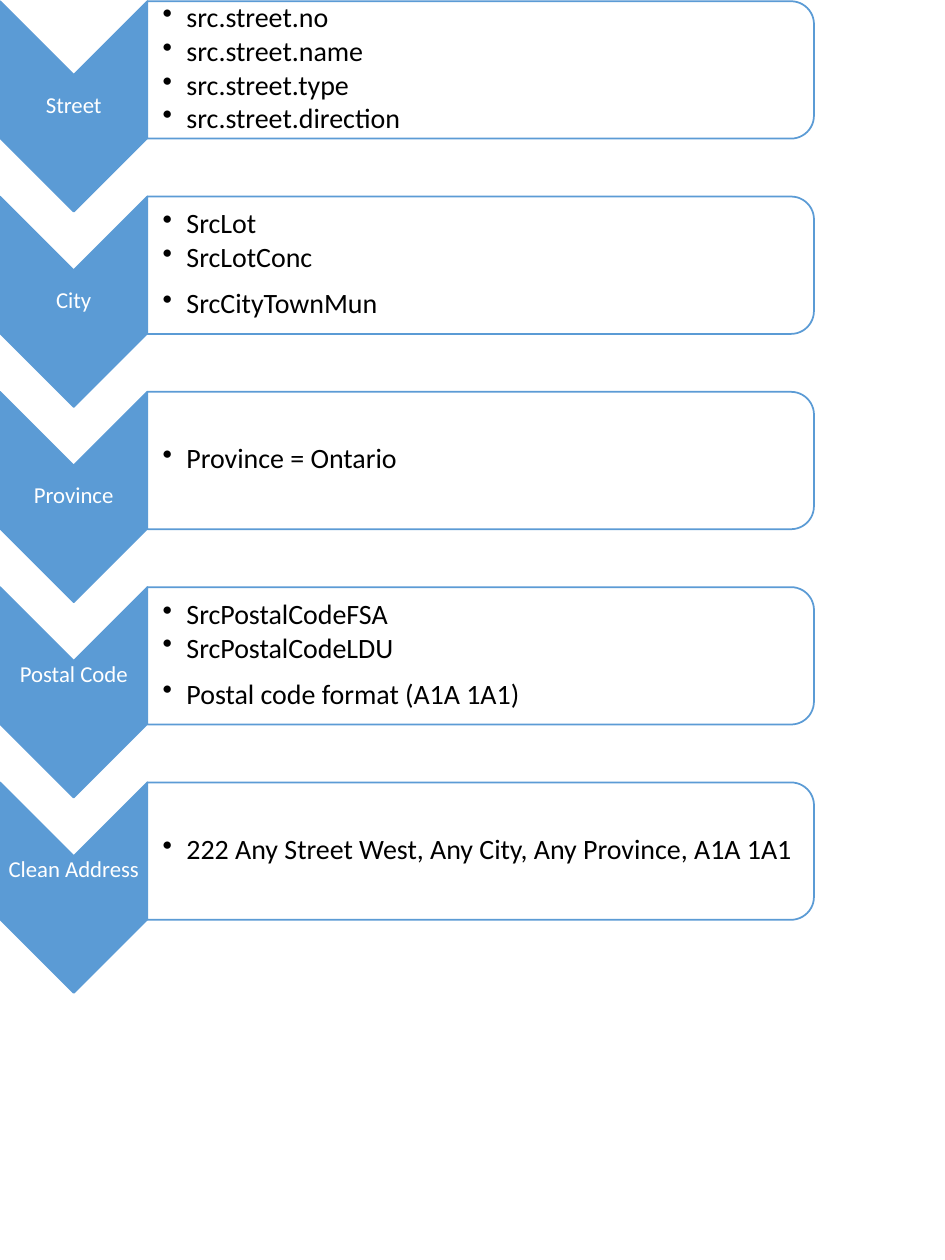
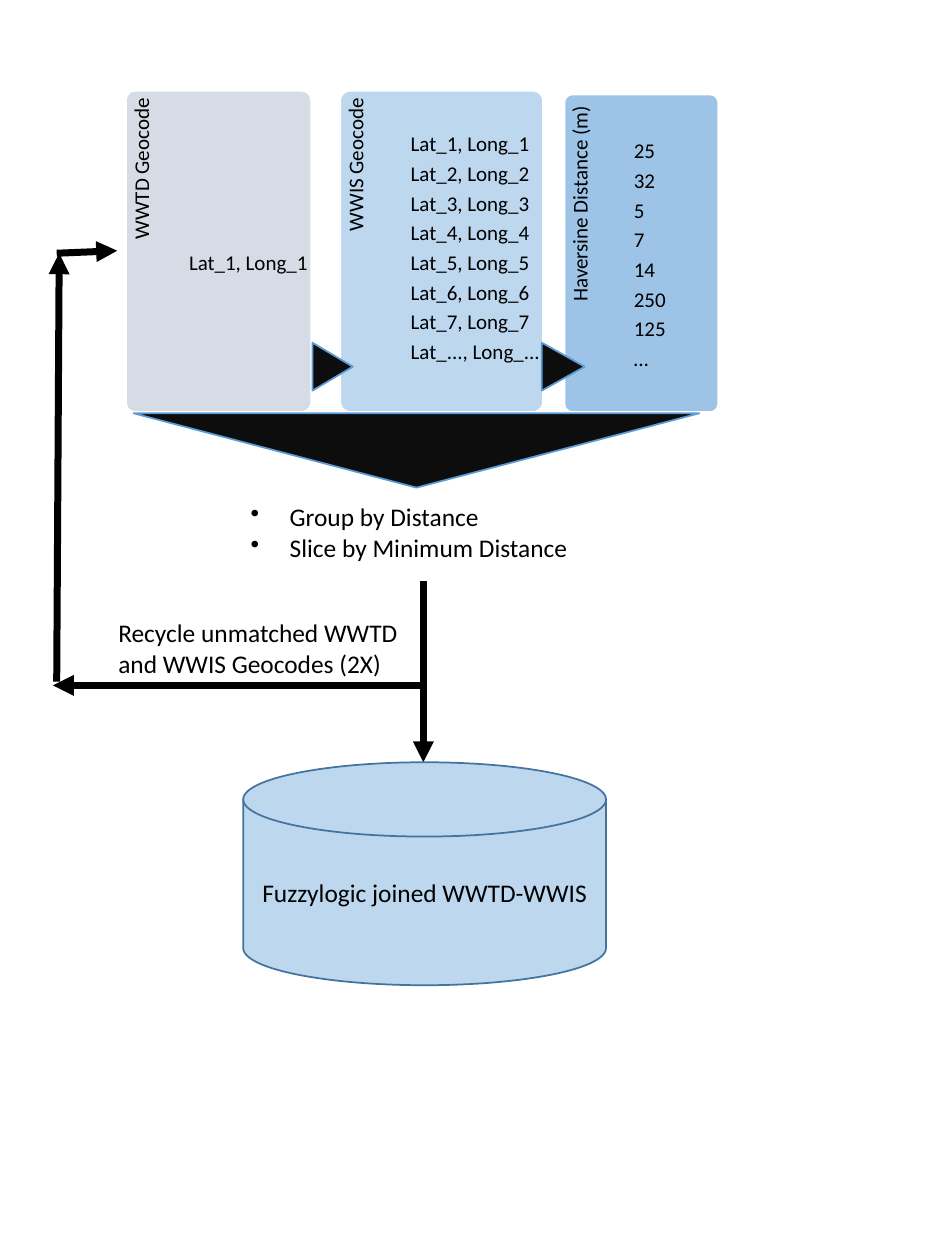
from pptx import Presentation
from pptx.dml.color import RGBColor
from pptx.enum.shapes import MSO_CONNECTOR as Link, MSO_SHAPE as Shape
from pptx.enum.text import MSO_ANCHOR as Anchor, PP_ALIGN as Align
from pptx.oxml.ns import qn
from pptx.util import Inches, Pt
from lxml.etree import SubElement as Sub

BLUE, WHITE, BLACK = "5B9BD5", "FFFFFF", "000000"
INK, PALE, GREY, MID, EDGE = "0D0D0D", "BDD7EE", "D6DCE5", "9DC3E6", "43739E"


def color(text):
    return RGBColor.from_string(text)


class Deck:
    font = "Calibri"

    def __init__(self, wide, high):
        self.show = Presentation()
        self.show.slide_width = Inches(wide)
        self.show.slide_height = Inches(high)

    def page(self):
        self.slide = self.show.slides.add_slide(self.show.slide_layouts[6])

    def place(self, box, turn):
        x, y, w, h = box
        if turn % 180:
            x, y, w, h = x + (w - h) / 2, y + (h - w) / 2, h, w
        return [Inches(v) for v in (x, y, w, h)]

    def shape(self, kind, box, fill, line, turn=0, curve=None):
        item = self.slide.shapes.add_shape(kind, *self.place(box, turn))
        item.rotation = turn
        item.shadow.inherit = False
        item.fill.solid()
        item.fill.fore_color.rgb = color(fill)
        item.line.color.rgb = color(line)
        item.line.width = Pt(1)
        if curve is not None:
            item.adjustments[0] = curve
        return item

    def label(self, item, lines, size, tint=BLACK, align=Align.LEFT,
              dot=0, lead=1, after=0):
        frame = item.text_frame
        frame.word_wrap = True
        for i, line in enumerate(lines):
            para = frame.add_paragraph() if i else frame.paragraphs[0]
            para.text = line
            para.alignment = align
            para.line_spacing = lead
            para.space_after = Pt(after)
            if dot:
                props = para._p.get_or_add_pPr()
                props.set("marL", str(Inches(dot)))
                props.set("indent", str(-Inches(dot)))
                Sub(props, qn("a:buChar")).set("char", "•")
            para.font.name = self.font
            para.font.size = Pt(size)
            para.font.color.rgb = color(tint)
        return frame

    def text(self, box, lines, size, turn=0, pad=(0.1, 0.05, 0.1, 0.05),
             anchor=Anchor.TOP, **style):
        item = self.slide.shapes.add_textbox(*self.place(box, turn))
        item.rotation = turn
        frame = self.label(item, lines, size, **style)
        frame.vertical_anchor = anchor
        (frame.margin_left, frame.margin_top,
         frame.margin_right, frame.margin_bottom) = [Inches(v) for v in pad]
        return frame

    def arrow(self, *ends):
        item = self.slide.shapes.add_connector(
            Link.STRAIGHT, *[Inches(v) for v in ends])
        item.line.color.rgb = color(BLACK)
        item.line.width = Pt(4)
        props = item._element.spPr
        Sub(props.find(qn("a:ln")), qn("a:tailEnd")).set("type", "triangle")
        Sub(props, qn("a:effectLst"))


deck = Deck(7.5, 10)

deck.page()
STEPS = [
    ("Street", ["src.street.no", "src.street.name", "src.street.type",
                "src.street.direction"], 0, 0),
    ("City", ["SrcLot", "SrcLotConc", "SrcCityTownMun"], 0, 7),
    ("Province", ["Province = Ontario"], 0, 0),
    ("Postal Code", ["SrcPostalCodeFSA", "SrcPostalCodeLDU",
                     "Postal code format (A1A 1A1)"], 0.13, 7),
    ("Clean Address",
     ["222 Any Street West, Any City, Any Province, A1A 1A1"], 0.13, 0),
]
for i, (name, items, lift, gap) in enumerate(STEPS):
    top = 0.01 + 1.55 * i
    deck.shape(Shape.CHEVRON, (0, top, 1.17, 1.67), BLUE, BLUE, 90)
    deck.text((0, top + 0.58 - lift, 1.17, 0.5), [name], 13, tint=WHITE,
              pad=[0.01] * 4, anchor=Anchor.MIDDLE, align=Align.CENTER, lead=0.9)
    deck.shape(Shape.ROUND_2_SAME_RECTANGLE, (1.17, top, 5.29, 1.09),
               WHITE, BLUE, 90)
    frame = deck.text((1.17, top + 0.05, 5.24, 0.98), items, 16,
                      pad=(0.12, 0.01, 0.01, 0.01), anchor=Anchor.MIDDLE,
                      dot=0.19, lead=0.9, after=2)
    if gap:
        frame.paragraphs[-1].space_before = Pt(gap)

deck.page()
PANELS = [
    ("WWTD Geocode", (1, 0.72, 1.47, 2.55), GREY, 0),
    ("WWIS Geocode", (2.7, 0.72, 1.61, 2.55), PALE, 0),
    ("Haversine Distance (m)", (4.48, 0.75, 1.22, 2.52), MID, 0.03),
]
for name, box, fill, drop in PANELS:
    deck.shape(Shape.ROUNDED_RECTANGLE, box, fill, WHITE, curve=0.05)
    deck.text((box[0], box[1] + drop, 0.3, 2.09), [name], 12, 270,
              pad=(0, 0.04, 0.06, 0), align=Align.RIGHT, lead=0.9)
for left, wide in (2.48, 0.32), (4.3, 0.34):
    deck.shape(Shape.FLOWCHART_EXTRACT, (left, 2.72, wide, 0.38), INK, BLUE, 90)

pairs = [f"Lat_{n}, Long_{n}" for n in [*range(1, 8), "..."]]
meters = ["25", "32", "5", "7", "14", "250", "125", "…"]
LISTS = [
    ((1.46, 2, 1.09, 0.3), pairs[:1], (0.04, 0, 0, 0), Anchor.TOP),
    ((3.18, 0.7, 1.2, 2.55), pairs, (0.08, 0, 0, 0), Anchor.MIDDLE),
    ((4.91, 0.75, 0.91, 2.52), meters, (0.12, 0.04, 0, 0), Anchor.MIDDLE),
]
for box, lines, pad, anchor in LISTS:
    deck.text(box, lines, 12, pad=pad, anchor=anchor, lead=0.9, after=4)

deck.shape(Shape.FLOWCHART_EXTRACT, (1.06, 3.28, 4.49, 0.59), INK, BLUE, 180)
deck.text((1.89, 3.93, 3.18, 0.83),
          ["Group by Distance", "Slice by Minimum Distance"], 14.5, dot=0.31)
deck.text((0.84, 4.85, 2.42, 0.84),
          ["Recycle unmatched WWTD and WWIS Geocodes (2X)"], 14.5)
deck.arrow(3.34, 5.44, 0.42, 5.44)
deck.arrow(0.45, 5.41, 0.47, 2.01)
deck.arrow(0.45, 2.01, 0.93, 1.99)
deck.arrow(3.36, 4.61, 3.36, 6.05)
disk = deck.shape(Shape.FLOWCHART_MAGNETIC_DISK, (1.93, 6.05, 2.88, 1.77),
                  PALE, EDGE)
deck.label(disk, ["Fuzzylogic joined WWTD-WWIS"], 14.5, align=Align.CENTER)

deck.show.save("out.pptx")
